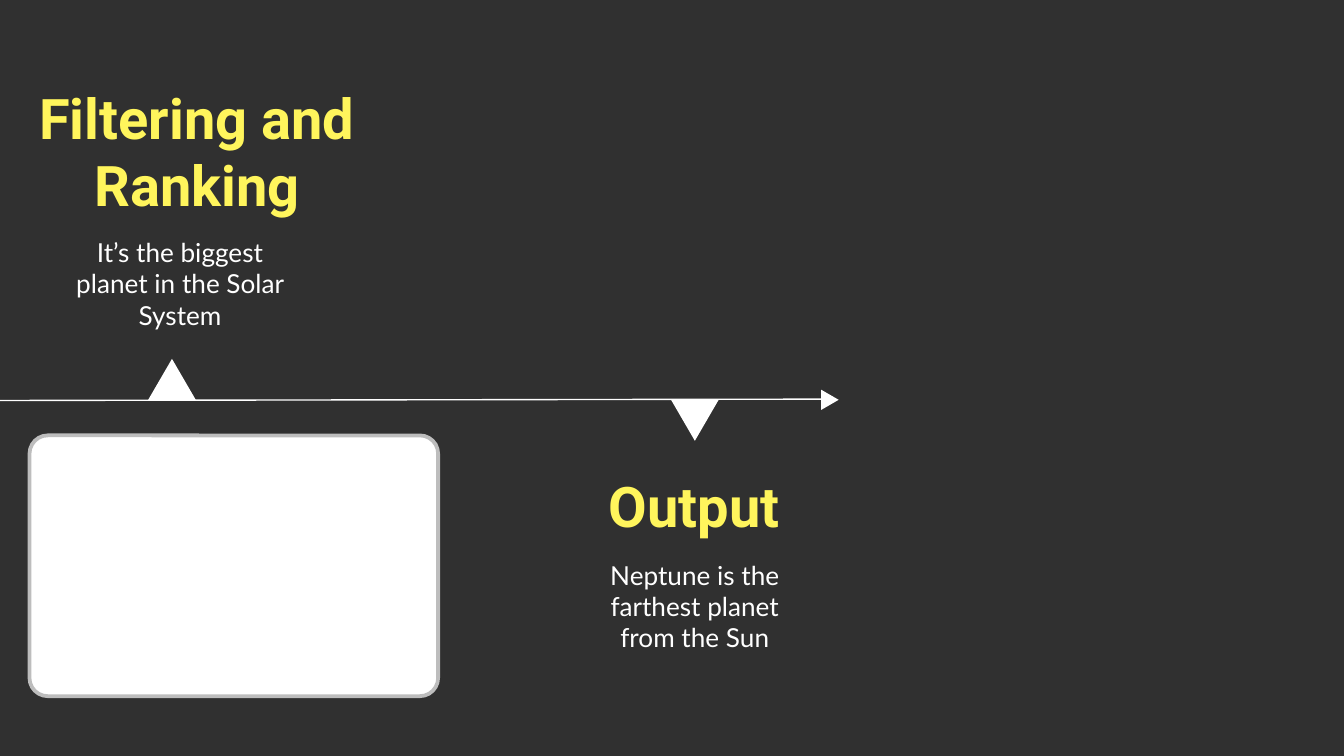
from dataclasses import dataclass

from lxml import etree
from pptx import Presentation
from pptx import util as u
from pptx.dml.color import RGBColor
from pptx.enum import shapes, text
from pptx.oxml.ns import qn

PX = 4572  # EMU per px, 200 px to the inch


@dataclass(frozen=True)
class Theme:
    background: str = "303030"
    white: str = "FFFFFF"
    accent: str = "FFF55C"
    border: str = "BDBDBD"
    title_font: str = "Roboto"
    body_font: str = "Lato"
    title_size: int = 30
    body_size: int = 14


THEME = Theme()


def rgb(value):
    return RGBColor.from_string(value)


def emu(*lengths):
    return [u.Emu(length * PX) for length in lengths]


def place(box, dx, dy, w, h):
    """Return a part's box, offset from the corner of its region."""
    return box[0] + dx, box[1] + dy, w, h


def add_solid(s, kind, box, border=None, rotation=0):
    sp = s.shapes.add_shape(kind, *emu(*box))
    sp.shadow.inherit = False
    sp.rotation = rotation
    sp.fill.solid()
    sp.fill.fore_color.rgb = rgb(THEME.white)
    if border:
        sp.line.color.rgb = rgb(border)
        sp.line.width = u.Pt(2)
    else:
        sp.line.fill.background()
    return sp


def write(sp, box, words, font, size, color, bold=False,
          anchor=text.MSO_ANCHOR.TOP):
    sp.left, sp.top, sp.width, sp.height = emu(*box)
    tf = sp.text_frame
    tf.word_wrap = True
    tf.auto_size = text.MSO_AUTO_SIZE.NONE
    tf.vertical_anchor = anchor
    tf.margin_left = tf.margin_right = u.Inches(0.1)
    tf.margin_top = tf.margin_bottom = u.Inches(0.1)
    p = tf.paragraphs[0]
    p.alignment = text.PP_ALIGN.CENTER
    r = p.add_run()
    r.text = words
    r.font.name = font
    r.font.size = u.Pt(size)
    r.font.bold = bold
    r.font.color.rgb = rgb(color)


def add_text(s):
    return s.shapes.add_textbox(0, 0, 0, 0)


def write_heading(sp, box, words):
    write(sp, box, words, THEME.title_font, THEME.title_size, THEME.accent,
          bold=True)


def write_note(s, box, words, anchor=text.MSO_ANCHOR.TOP):
    write(add_text(s), box, words, THEME.body_font, THEME.body_size,
          THEME.white, anchor=anchor)


def add_marker(s, box, rotation=0):
    add_solid(s, shapes.MSO_SHAPE.ISOSCELES_TRIANGLE, box, rotation=rotation)


def timeline(s, box):
    """Axis running in from the left edge, ending in an arrow tip."""
    x, y, w, h = box
    axis = s.shapes.add_connector(shapes.MSO_CONNECTOR.STRAIGHT,
                                  *emu(x + w - 22, y + 12, x, y + 14))
    axis.line.color.rgb = rgb(THEME.white)
    axis.line.width = u.Pt(0.75)
    etree.SubElement(axis._element.spPr, qn("a:effectLst"))
    add_marker(s, place(box, w - 36, 0, 30, h), rotation=90)


def milestone_above(s, box, heading, note):
    """Heading and note standing on an upward marker."""
    add_marker(s, place(box, 192, 430, 72, 62))
    write_heading(s.shapes.title, place(box, 0, 0, box[2], 138), heading)
    write_note(s, place(box, 62, 236, 356, 172), note,
               text.MSO_ANCHOR.BOTTOM)


def milestone_below(s, box, heading, note):
    """Heading and note hanging from a downward marker."""
    add_marker(s, place(box, 142, 0, 72, 62), rotation=180)
    write_heading(add_text(s), place(box, 28, 88, 298, 142), heading)
    write_note(s, place(box, 0, 218, box[2], 172), note)


def panel(s, box):
    """Empty rounded panel."""
    sp = add_solid(s, shapes.MSO_SHAPE.ROUNDED_RECTANGLE, box, THEME.border)
    sp.adjustments[0] = 0.07


def main():
    prs = Presentation()
    prs.slide_width, prs.slide_height = emu(2000, 1125)
    s = prs.slides.add_slide(prs.slide_layouts[5])
    s.background.fill.solid()
    s.background.fill.fore_color.rgb = rgb(THEME.background)

    timeline(s, (0, 582, 1256, 26))
    milestone_above(s, (28, 104, 530, 492), "Filtering and Ranking",
                    "It’s the biggest planet in the Solar System")
    milestone_below(s, (856, 594, 356, 390), "Output",
                    "Neptune is the farthest planet from the Sun")
    panel(s, (44, 648, 608, 388))

    prs.save("out.pptx")


if __name__ == "__main__":
    main()
